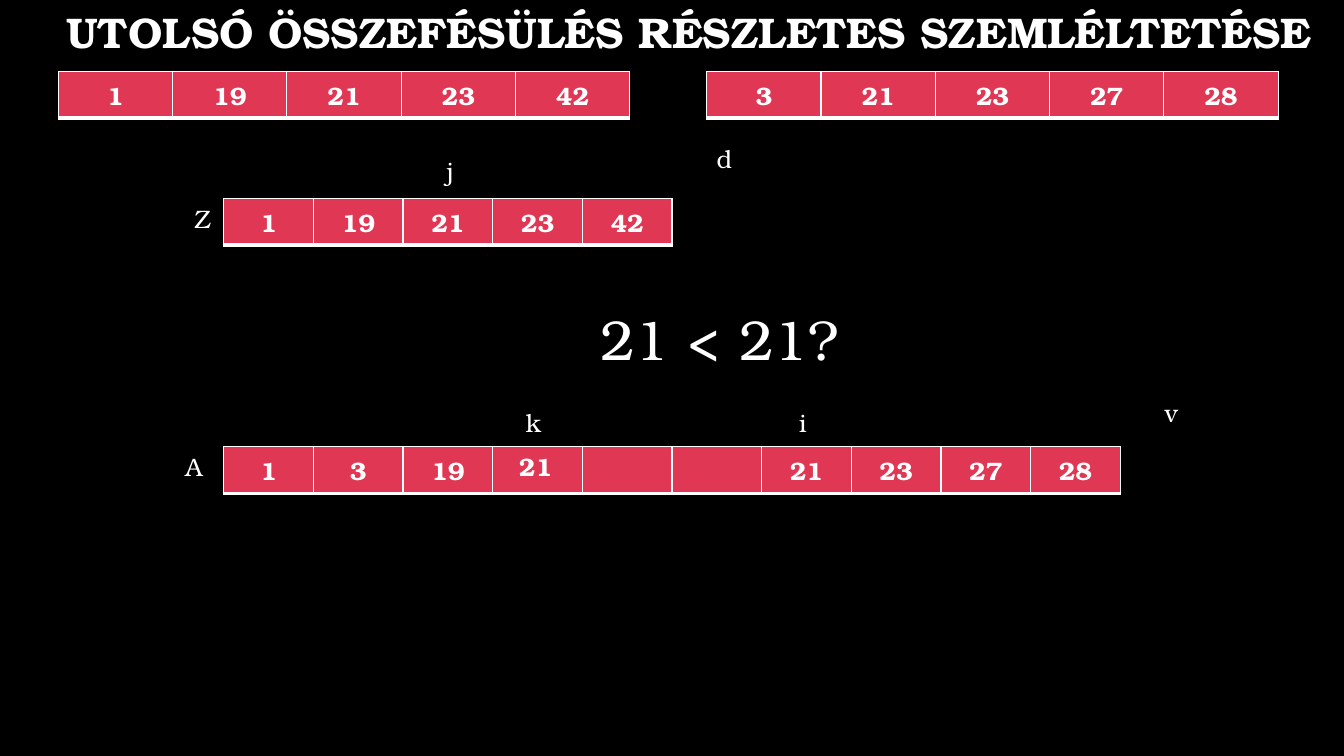
"""Build the slide that illustrates the last merge step of merge sort."""
from lxml import etree
from pptx import Presentation
from pptx.dml.color import RGBColor
from pptx.enum.text import MSO_ANCHOR, MSO_AUTO_SIZE, PP_ALIGN
from pptx.oxml.ns import qn
from pptx.util import Cm, Pt

CENTER, LEFT = PP_ALIGN.CENTER, PP_ALIGN.LEFT
MIDDLE, TOP = MSO_ANCHOR.MIDDLE, MSO_ANCHOR.TOP
GROW, FIXED = MSO_AUTO_SIZE.SHAPE_TO_FIT_TEXT, MSO_AUTO_SIZE.NONE

FONT = "TeX Gyre Bonum"
BLACK, WHITE, RED = "000000", "FFFFFF", "E03754"
BORDERS = {"lnL": 1, "lnR": 1, "lnT": 1, "lnB": 3}
ROW_HEIGHT, LABEL_HEIGHT = 1.04, 1.02
HALF_CELL, MERGE_CELL = 2.88, 2.26
HALF_TOP, COPY_TOP, MERGED_TOP = 1.8, 5, 11.25

ARRAYS = [
    (1.47, HALF_TOP, HALF_CELL, [1, 19, 21, 23, 42]),
    (17.81, HALF_TOP, HALF_CELL, [3, 21, 23, 27, 28]),
    (5.64, COPY_TOP, MERGE_CELL, [1, 19, 21, 23, 42]),
    (5.64, MERGED_TOP, MERGE_CELL, [1, 3, 19, "", "", "", 21, 23, 27, 28]),
]
LABELS = [
    ("Z", 4.65, COPY_TOP, 0.99),
    ("A", 4.42, MERGED_TOP, 0.99),
    ("i", 19.89, 10.13, 2.39),
    ("j", 11, 3.78, 2.39),
    ("k", 13, 10.13, 2.39),
    ("d", 17.81, 3.48, 2.39),
    ("v", 29.11, 9.88, 2.39),
]


def color(hex_value):
    """Return the colour for a hex string."""
    return RGBColor.from_string(hex_value)


def write(paragraph, text, size=18, bold=False, align=LEFT):
    """Put formatted white text into a paragraph."""
    paragraph.alignment = align
    run = paragraph.add_run()
    run.text = text
    font_format = {"name": FONT, "size": Pt(size), "bold": bold}
    for attribute, value in font_format.items():
        setattr(run.font, attribute, value)
    run.font.color.rgb = color(WHITE)


def add_text(slide, text, box, anchor=TOP, auto_size=GROW, **text_format):
    """Add a text box and return its paragraph."""
    frame = slide.shapes.add_textbox(*map(Cm, box)).text_frame
    frame_format = {"word_wrap": True, "auto_size": auto_size, "vertical_anchor": anchor}
    for attribute, value in frame_format.items():
        setattr(frame, attribute, value)
    write(frame.paragraphs[0], text, **text_format)
    return frame.paragraphs[0]


def style_cell(cell):
    """Give a cell its white borders and red fill."""
    properties = cell._tc.get_or_add_tcPr()
    for side, width in BORDERS.items():
        border = etree.SubElement(properties, qn(f"a:{side}"), w=str(Pt(width)))
        border_fill = etree.SubElement(border, qn("a:solidFill"))
        etree.SubElement(border_fill, qn("a:srgbClr"), val=WHITE)
    cell.fill.solid()
    cell.fill.fore_color.rgb = color(RED)


def add_array(slide, left, top, cell_width, values):
    """Draw an array as a one-row table."""
    box = (left, top, cell_width * len(values), ROW_HEIGHT)
    table = slide.shapes.add_table(1, len(values), *map(Cm, box)).table
    for attribute in ("first_row", "horz_banding"):
        setattr(table, attribute, False)
    for column, value in enumerate(values):
        table.columns[column].width = Cm(cell_width)
        cell = table.cell(0, column)
        style_cell(cell)
        if value:
            write(cell.text_frame.paragraphs[0], str(value), bold=True, align=CENTER)


def main():
    """Build and save the presentation."""
    presentation = Presentation()
    presentation.slide_width, presentation.slide_height = Cm(33.87), Cm(19.05)
    slide = presentation.slides.add_slide(presentation.slide_layouts[6])
    background = slide.background.fill
    background.solid()
    background.fore_color.rgb = color(BLACK)

    title = add_text(slide, "UTOLSÓ ÖSSZEFÉSÜLÉS RÉSZLETES SZEMLÉLTETÉSE",
                     (0.56, 0, 33.6, 1.73), anchor=MIDDLE, auto_size=FIXED,
                     size=30.6, bold=True, align=CENTER)
    title.line_spacing = 0.9
    for array in ARRAYS:
        add_array(slide, *array)
    for name, left, top, width in LABELS:
        add_text(slide, name, (left, top, width, LABEL_HEIGHT))
    add_text(slide, "21", (12.83, MERGED_TOP, 2.06, LABEL_HEIGHT), bold=True)
    add_text(slide, "21 < 21?", (14.88, 7.54, 10.9, 1.96), size=40)
    presentation.save("out.pptx")


if __name__ == "__main__":
    main()
